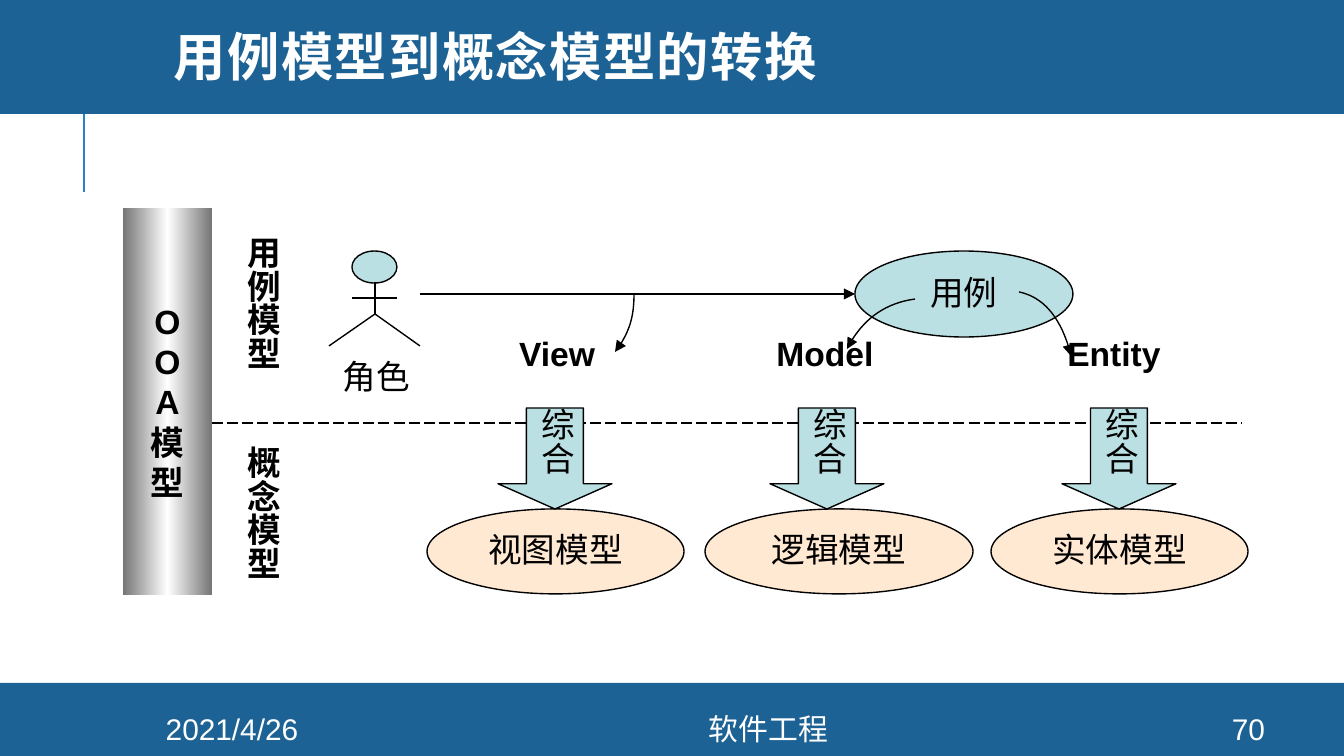
from copy import deepcopy
from dataclasses import dataclass

from lxml.etree import SubElement
from pptx import Presentation
from pptx.dml.color import RGBColor
from pptx.enum.dml import MSO_LINE
from pptx.enum.shapes import MSO_CONNECTOR, MSO_SHAPE
from pptx.enum.text import MSO_ANCHOR, PP_ALIGN
from pptx.oxml.ns import qn
from pptx.util import Pt

EMU_PER_PX = 914400 / 134.4


@dataclass(frozen=True)
class Theme:
    """Colours, fonts and type sizes of the slide."""
    band: str = "1D6294"
    accent: str = "2683C6"
    teal: str = "BBE0E3"
    peach: str = "FFCC99"
    grey: str = "767676"
    white: str = "FFFFFF"
    black: str = "000000"
    font: str = "Arial"
    title_font: str = "Montserrat"
    title_size: int = 28
    body_size: int = 18
    footer_size: int = 16


THEME = Theme()
LABEL_INSETS = (13, 0, 13, 7)
VERTICAL_INSETS = (3, 7, 13, 7)


def px(length):
    """Turn pixels into EMU."""
    return round(length * EMU_PER_PX)


def rgb(value):
    """Turn a hex string into a colour."""
    return RGBColor.from_string(value)


def set_line(line, color=THEME.black, width=0.75):
    """Give a line its colour and width."""
    line.color.rgb = rgb(color)
    line.width = Pt(width)


def add_arrowhead(shape, end):
    """Put a triangle on the headEnd or tailEnd of a line."""
    outline = shape.line._get_or_add_ln()
    SubElement(outline, qn(f"a:{end}"), type="triangle")


def write_text(shape, text, size=THEME.body_size, color=THEME.black, bold=False,
               font=THEME.font, align=PP_ALIGN.CENTER, spacing=0.96,
               insets=(13, 7, 13, 7), wrap=True, vertical=False):
    """Fill a shape with paragraphs of one style."""
    frame = shape.text_frame
    frame.text = text
    frame.word_wrap = wrap
    frame.vertical_anchor = MSO_ANCHOR.MIDDLE
    frame.margin_left, frame.margin_top, frame.margin_right, frame.margin_bottom = map(px, insets)
    if vertical:
        frame._txBody.bodyPr.set("vert", "eaVert")
    for paragraph in frame.paragraphs:
        paragraph.alignment = align
        paragraph.line_spacing = spacing
        paragraph.font.name = font
        paragraph.font.size = Pt(size)
        paragraph.font.bold = bold
        paragraph.font.color.rgb = rgb(color)


def add_text(slide, box, text, **style):
    """Add a text box."""
    shape = slide.shapes.add_textbox(*map(px, box))
    write_text(shape, text, **style)
    return shape


def add_box(slide, kind, box, fill, outlined=True):
    """Add a preset shape with a plain fill."""
    shape = slide.shapes.add_shape(kind, *map(px, box))
    shape.shadow.inherit = False
    shape.fill.solid()
    shape.fill.fore_color.rgb = rgb(fill)
    if outlined:
        set_line(shape.line)
    else:
        shape.line.fill.background()
    return shape


def add_line(slide, start, end, color=THEME.black, width=0.75):
    """Add a straight connector."""
    line = slide.shapes.add_connector(MSO_CONNECTOR.STRAIGHT, *map(px, start + end))
    SubElement(line._element.spPr, qn("a:effectLst"))
    set_line(line.line, color, width)
    return line


def add_curved_arrow(slide, start, *controls_and_tip):
    """Add a cubic curve with an arrowhead at its last point."""
    builder = slide.shapes.build_freeform(*start, scale=EMU_PER_PX)
    builder.add_line_segments(controls_and_tip, close=False)
    curve = builder.convert_to_shape()
    outline_path = next(curve._element.iter(qn("a:path")))
    bezier = SubElement(outline_path, qn("a:cubicBezTo"))
    for segment in outline_path.findall(qn("a:lnTo")):
        bezier.append(segment[0])
        outline_path.remove(segment)
    curve.shadow.inherit = False
    curve.fill.background()
    set_line(curve.line)
    add_arrowhead(curve, "tailEnd")


def add_frame(slide):
    """Add the bands, title and footer."""
    add_line(slide, (84, 192), (84, 91), THEME.accent, 1.5)
    for box in ((0, 683, 1344, 73), (0, -4, 1344, 118)):
        add_box(slide, MSO_SHAPE.RECTANGLE, box, THEME.band, outlined=False)
    title = add_text(slide, (161, 0, 1141, 122), "用例模型到概念模型的转换",
                     size=THEME.title_size, color=THEME.white, bold=True,
                     font=THEME.title_font, align=PP_ALIGN.LEFT, spacing=0.8)
    title.text_frame.paragraphs[0].runs[0]._r.get_or_add_rPr().set("spc", "80")
    for left, width, text in ((113, 238, "2021/4/26"), (351, 835, "软件工程"), (1195, 107, "70")):
        add_text(slide, (left, 713, width, 31), text, size=THEME.footer_size,
                 color=THEME.white, spacing=1.0)


def add_actor(slide):
    """Add the stick figure and its label."""
    add_box(slide, MSO_SHAPE.OVAL, (352, 251, 45, 32), THEME.teal)
    hip = (375, 314)
    for start, end in (((352, 298), (397, 298)), ((375, 282), hip),
                       (hip, (329, 346)), (hip, (420, 346))):
        add_line(slide, start, end)
    add_text(slide, (312, 334, 128, 85), "角色", spacing=1.0)


def add_use_case(slide):
    """Add the use case with its arrows and labels."""
    use_case = add_box(slide, MSO_SHAPE.OVAL, (855, 251, 218, 86), THEME.teal)
    write_text(use_case, "用例")
    add_arrowhead(add_line(slide, (420, 294), (855, 294)), "tailEnd")
    add_curved_arrow(slide, (634, 294), (634, 316), (628, 336), (615, 352))
    add_curved_arrow(slide, (915, 299), (886, 303), (860, 322), (847, 349))
    add_curved_arrow(slide, (1019, 292), (1043, 297), (1063, 321), (1071, 356))
    for left, width, text in ((492, 130, "View"), (755, 140, "Model"), (1044, 140, "Entity")):
        add_text(slide, (left, 337, width, 43), text, bold=True, wrap=False, insets=LABEL_INSETS)


def add_model_bar(slide):
    """Add the gradient bar at the left."""
    bar = add_box(slide, MSO_SHAPE.RECTANGLE, (123, 208, 89, 387), THEME.grey, outlined=False)
    bar.fill.gradient()
    bar.fill.gradient_angle = 0
    for stop in bar.fill.gradient_stops:
        stop.color.rgb = rgb(THEME.grey)
    stops = next(bar._element.iter(qn("a:gsLst")))
    stops.insert(1, deepcopy(stops[0]))
    middle = bar.fill.gradient_stops[1]
    middle.position = 0.5
    middle.color.rgb = rgb(THEME.white)
    write_text(bar, "O\nO\nA\n模型", bold=True, spacing=1.0)


def add_concept(slide, arrow_left, oval_left, oval_width, text):
    """Add a synthesis arrow and the concept model below it."""
    oval = add_box(slide, MSO_SHAPE.OVAL, (oval_left, 509, oval_width, 85), THEME.peach)
    color = next(oval._element.spPr.iter(qn("a:srgbClr")))
    SubElement(color, qn("a:alpha"), val="43000")
    write_text(oval, text)
    arrow = add_box(slide, MSO_SHAPE.DOWN_ARROW, (arrow_left, 408, 114, 101), THEME.teal)
    arrow.adjustments[0] = 0.5
    arrow.adjustments[1] = 0.25
    write_text(arrow, "综合", insets=LABEL_INSETS, vertical=True)


def main():
    """Build and save the slide."""
    presentation = Presentation()
    presentation.slide_width, presentation.slide_height = px(1344), px(756)
    slide = presentation.slides.add_slide(presentation.slide_layouts[6])
    add_frame(slide)
    add_actor(slide)
    add_use_case(slide)
    add_line(slide, (212, 423), (1242, 423)).line.dash_style = MSO_LINE.LONG_DASH
    add_model_bar(slide)
    for top, height, text in ((229, 215, "用例模型"), (439, 172, "概念模型")):
        add_text(slide, (230, top, 73, height), text, bold=True,
                 insets=VERTICAL_INSETS, vertical=True)
    add_concept(slide, 498, 427, 257, "视图模型")
    add_concept(slide, 770, 705, 268, "逻辑模型")
    add_concept(slide, 1062, 991, 257, "实体模型")
    presentation.save("out.pptx")


if __name__ == "__main__":
    main()
